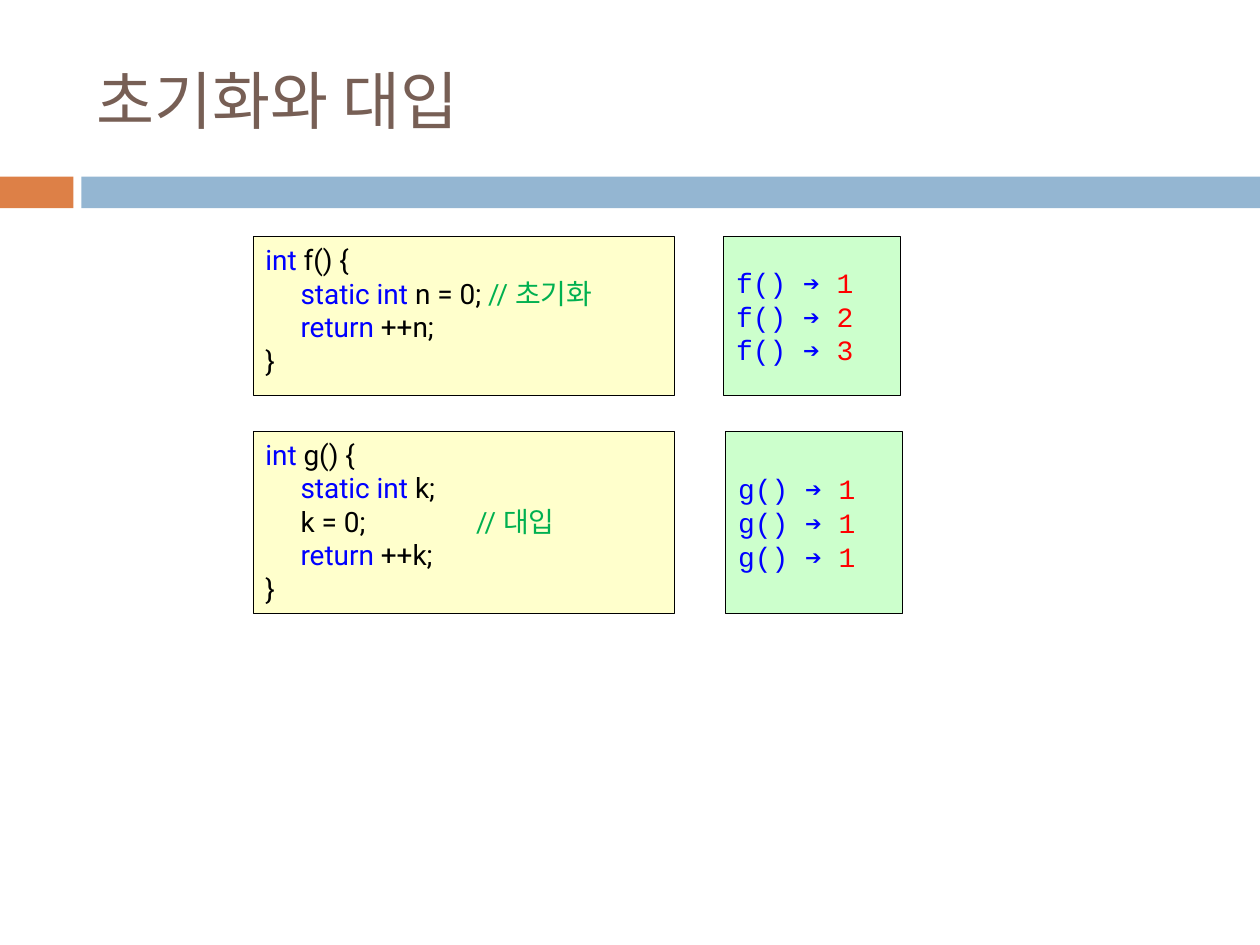
from lxml.etree import SubElement
from pptx import Presentation
from pptx.dml.color import RGBColor
from pptx.enum.shapes import MSO_SHAPE
from pptx.enum.text import MSO_ANCHOR, MSO_AUTO_SIZE, PP_ALIGN
from pptx.oxml.ns import qn
from pptx.util import Cm, Pt

ORANGE = RGBColor(0xDD, 0x80, 0x47)
SKY = RGBColor(0x94, 0xB6, 0xD2)
BROWN = RGBColor(0x77, 0x5F, 0x55)
CREAM = RGBColor(0xFF, 0xFF, 0xCC)
MINT = RGBColor(0xCC, 0xFF, 0xCC)
BLACK = RGBColor(0, 0, 0)
BLUE = RGBColor(0, 0, 0xFF)
GREEN = RGBColor(0, 0xB0, 0x50)
RED = RGBColor(0xFF, 0, 0)

TITLE = "초기화와 대입"
# Each line is a list of (text, colour) spans; tabs lead to TAB_STOPS.
EXAMPLES = [
    {
        "code": [
            [("int", BLUE), (" f() {", BLACK)],
            [("\tstatic int", BLUE), (" n = 0; ", BLACK), ("// 초기화", GREEN)],
            [("\treturn", BLUE), (" ++n;", BLACK)],
            [("}", BLACK)],
        ],
        "call": "f()", "results": "123",
        "top": 4.77, "height": 3.2, "result_left": 14.59,
    },
    {
        "code": [
            [("int", BLUE), (" g() {", BLACK)],
            [("\tstatic int", BLUE), (" k;", BLACK)],
            [("\tk = 0;\t", BLACK), ("// 대입", GREEN)],
            [("\treturn", BLUE), (" ++k;", BLACK)],
            [("}", BLACK)],
        ],
        "call": "g()", "results": "111",
        "top": 8.69, "height": 3.68, "result_left": 14.63,
    },
]
BARS = [(0, 1.48, ORANGE), (1.64, 23.76, SKY)]  # left, width, colour
BAR_TOP, BAR_HEIGHT = 3.56, 0.64
CODE_LEFT, CODE_WIDTH, RESULT_WIDTH = 5.1, 8.5, 3.56
TAB_STOPS = (0.71, 4.25)


def add_box(slide, left, top, width, height, fill, outlined=False):
    box = slide.shapes.add_shape(
        MSO_SHAPE.RECTANGLE, Cm(left), Cm(top), Cm(width), Cm(height))
    box.shadow.inherit = False
    box.fill.solid()
    box.fill.fore_color.rgb = fill
    if outlined:
        box.line.color.rgb = BLACK
        box.line.width = Pt(0.25)
    else:
        box.line.fill.background()
    return box


def write_lines(box, lines, font, size=16, anchor=MSO_ANCHOR.MIDDLE, tabs=()):
    frame = box.text_frame
    frame.word_wrap = True
    frame.auto_size = MSO_AUTO_SIZE.NONE
    frame.vertical_anchor = anchor
    for number, line in enumerate(lines):
        para = frame.add_paragraph() if number else frame.paragraphs[0]
        para.alignment = PP_ALIGN.LEFT
        if tabs:
            tab_list = SubElement(para._p.get_or_add_pPr(), qn("a:tabLst"))
            for stop in tabs:
                SubElement(tab_list, qn("a:tab"), pos=str(Cm(stop)), algn="l")
        for text, color in line:
            span = para.add_run()
            span.text = text
            span.font.name = font
            span.font.size = Pt(size)
            span.font.color.rgb = color


def main():
    deck = Presentation()
    deck.slide_width, deck.slide_height = Cm(25.4), Cm(19.05)
    slide = deck.slides.add_slide(deck.slide_layouts[5])

    for left, width, color in BARS:
        add_box(slide, left, BAR_TOP, width, BAR_HEIGHT, color)

    title = slide.shapes.title
    title.left, title.top = Cm(1.7), Cm(0.64)
    title.width, title.height = Cm(22.66), Cm(2.74)
    write_lines(title, [[(TITLE, BROWN)]], "Cabin", size=36)

    for example in EXAMPLES:
        top, height = example["top"], example["height"]
        code_box = add_box(slide, CODE_LEFT, top, CODE_WIDTH, height, CREAM, outlined=True)
        write_lines(code_box, example["code"], "Roboto", anchor=MSO_ANCHOR.TOP, tabs=TAB_STOPS)

        result_box = add_box(
            slide, example["result_left"], top, RESULT_WIDTH, height, MINT, outlined=True)
        results = [[(f"{example['call']} ➔ ", BLUE), (value, RED)]
                   for value in example["results"]]
        write_lines(result_box, results, "Courier New")

    deck.save("out.pptx")


if __name__ == "__main__":
    main()
